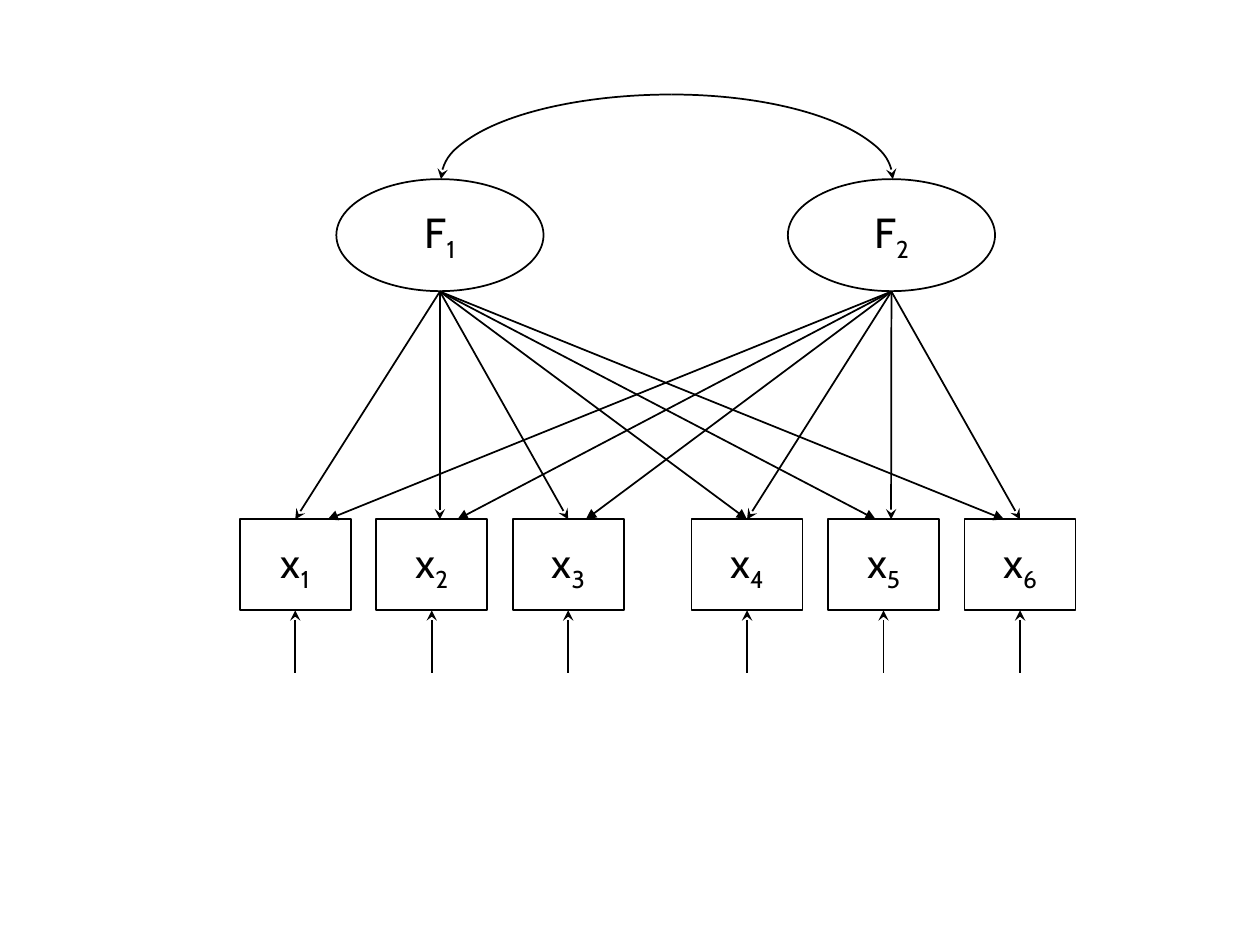
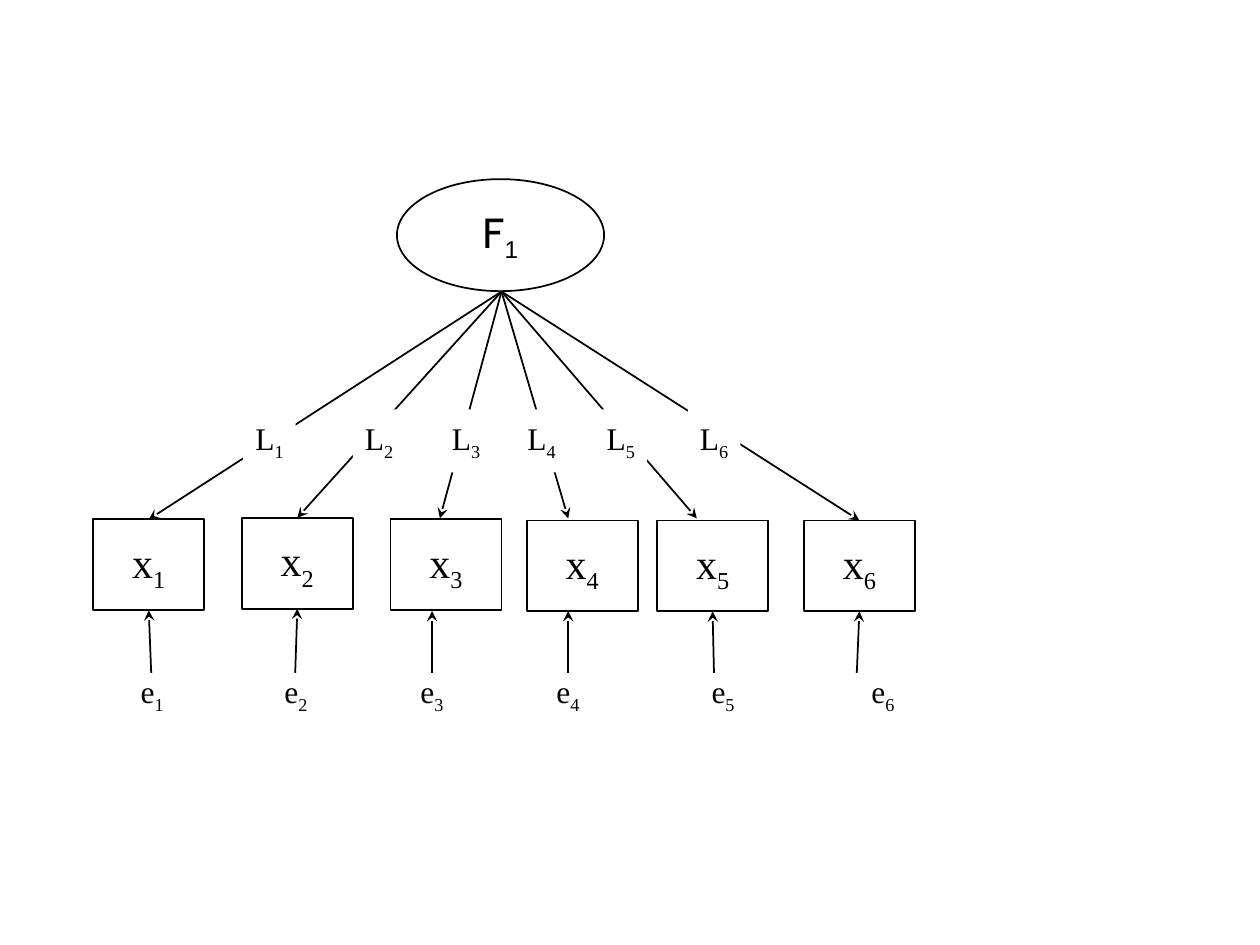
import pptx
import pptx.util
import pptx.dml.color
import pptx.enum.shapes
import pptx.enum.text
import pptx.oxml.ns
from lxml import etree

Pt = pptx.util.Pt
SHAPE = pptx.enum.shapes.MSO_SHAPE
qn = pptx.oxml.ns.qn

INK, PAPER = "000000", "FFFFFF"
SANS, SERIF, PLAIN = "Cabin", "Times New Roman", "Arial"
BOX_W, BOX_H, BOX_TOP = 63.4, 52, 296.8
OVAL_W, OVAL_H, OVAL_TOP = 118.4, 64, 102.4
OVAL_BOTTOM = 166.6
ERROR_Y = 384.5
FRAME = {
    "word_wrap": False,
    "vertical_anchor": pptx.enum.text.MSO_ANCHOR.MIDDLE,
}


def add_node(s, kind, place, letter, number, size=24, font=SANS, sub_font=None):
    """Add a shape, or a text box if kind is None, with a subscripted label."""
    place = [Pt(v) for v in place]
    if kind is None:
        sp = s.shapes.add_textbox(*place)
    else:
        sp = s.shapes.add_shape(kind, *place)
        sp.shadow.inherit = False
        sp.fill.background()
        sp.line.color.rgb = pptx.dml.color.RGBColor.from_string(INK)
        sp.line.width = Pt(1)
    tf = sp.text_frame
    for name, value in FRAME.items():
        setattr(tf, name, value)
    p = tf.paragraphs[0]
    p.alignment = pptx.enum.text.PP_ALIGN.CENTER
    for text, face in ((letter, font), (str(number), sub_font or font)):
        r = p.add_run()
        r.text = text
        for name, value in {"name": face, "size": Pt(size)}.items():
            setattr(r.font, name, value)
        r.font.color.rgb = pptx.dml.color.RGBColor.from_string(INK)
    r._r.get_or_add_rPr().set("baseline", "-25000")
    return sp


def style_arrow(sp, end, head):
    """Make a thin line with an arrowhead; end is headEnd or tailEnd."""
    sp.line.color.rgb = pptx.dml.color.RGBColor.from_string(INK)
    sp.line.width = Pt(1)
    etree.SubElement(sp.line._get_or_add_ln(), qn("a:" + end), type=head)


prs = pptx.Presentation()
prs.slide_width, prs.slide_height = Pt(720), Pt(540)
two_factor, one_factor = [prs.slides.add_slide(prs.slide_layouts[6]) for _ in range(2)]
arrows = []  # slide, start, end, head, box, side of the box

# Two correlated factors, each loading on all six indicators
s = two_factor
boxes = []
for i in range(6):
    left = (137, 395.2)[i // 3] + 78 * (i % 3)
    box = add_node(s, SHAPE.RECTANGLE, (left, BOX_TOP, BOX_W, BOX_H), "x", i + 1)
    boxes.append(box)
    x = left + BOX_W / 2
    arrows.append((s, (x, ERROR_Y), (x, 349), "stealth", box, 2))

factors = (
    (251.4, (168.7, 251.4, 324.7), (426.9, 500.4, 573.8)),
    (509.4, (426.9, 509.2, 582.9), (187.2, 261.4, 334.8)),
)
for i, (x, own, crossed) in enumerate(factors):
    add_node(s, SHAPE.OVAL, (x - OVAL_W / 2, OVAL_TOP, OVAL_W, OVAL_H), "F", i + 1)
    for ends, first, head in ((own, 3 * i, "stealth"), (crossed, 3 - 3 * i, "triangle")):
        for box, end in zip(boxes[first:first + 3], ends):
            arrows.append((s, (x, OVAL_BOTTOM), (end, BOX_TOP), head, box, 0))

# The correlation is two quarter ellipses that meet at the top
for x, start_angle, sweep in ((252, 180, 90), (510.2, 0, -90)):
    builder = s.shapes.build_freeform(Pt(x), Pt(OVAL_TOP), scale=1.0)
    builder.add_line_segments([(Pt(383.8), Pt(54))], close=False)
    curve = builder.convert_to_shape()
    curve.shadow.inherit = False
    curve.fill.background()
    style_arrow(curve, "headEnd", "stealth")
    segment = next(curve._element.iter(qn("a:lnTo")))
    arc = etree.Element(qn("a:arcTo"), wR=str(curve.width), hR=str(curve.height),
                        stAng=str(start_angle * 60000), swAng=str(sweep * 60000))
    segment.getparent().replace(segment, arc)

# One factor with loadings and errors
s = one_factor
add_node(s, SHAPE.OVAL, (226.8, OVAL_TOP, OVAL_W, OVAL_H), "F", 1, sub_font=PLAIN)
# box left, box top, loading arrow x, error arrow x, error label left
indicators = (
    (53.3, 296.8, 86.4, 86.4, 72),
    (138.2, 295.9, 168.7, 168.7, 154.1),
    (223.2, 296.8, 251.4, 246.9, 231.8),
    (301, 297.4, 324.7, 324.7, 309.6),
    (375.5, 297.4, 398.2, 408, 398.2),
    (459.4, 297.4, 489.6, 489.6, 489.6),
)
for i, (left, top, x, error_x, error_left) in enumerate(indicators, 1):
    box = add_node(s, SHAPE.RECTANGLE, (left, top, BOX_W, BOX_H), "x", i, font=SERIF)
    add_node(s, None, (error_left, ERROR_Y, 30, 24), "e", i, 18, SERIF)
    arrows.append((s, (286.6, OVAL_BOTTOM), (x, 296.2), "stealth", box, 0))
    arrows.append((s, (error_x, ERROR_Y), (error_x, 349.2), "stealth", box, 2))

for s, start, end, head, box, side in arrows:
    line = s.shapes.add_connector(pptx.enum.shapes.MSO_CONNECTOR.STRAIGHT,
                                  *[Pt(v) for v in start + end])
    style_arrow(line, "tailEnd", head)
    etree.SubElement(line._element.spPr, qn("a:effectLst"))
    if abs(Pt(end[0]) - box.left - box.width / 2) < Pt(2):
        line.end_connect(box, side)

# Loading labels lie over the arrows
for i, left in enumerate((139, 201.6, 251.3, 294.5, 339.8, 393.1), 1):
    label = add_node(one_factor, SHAPE.RECTANGLE, (left, 234, 30, 36), "L", i, 18, SERIF)
    label.fill.solid()
    label.fill.fore_color.rgb = pptx.dml.color.RGBColor.from_string(PAPER)
    label.line.fill.background()

prs.save("out.pptx")
